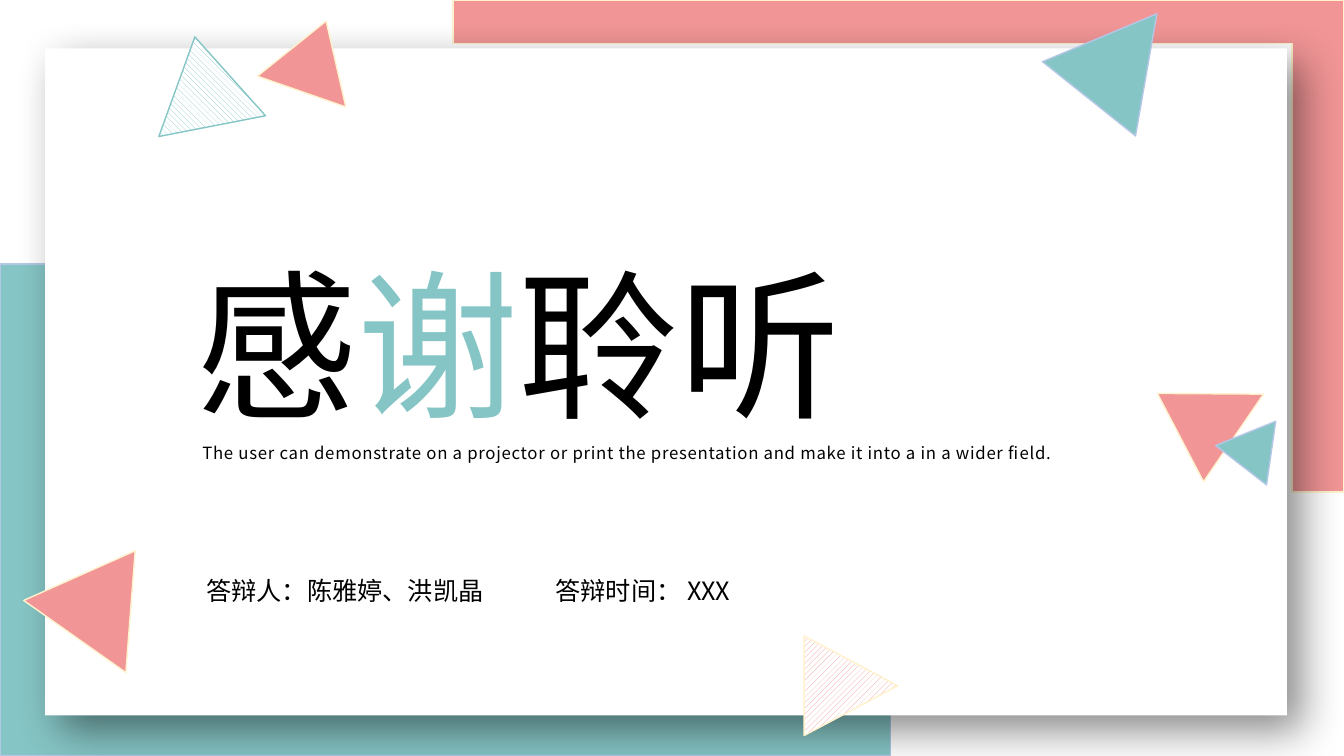
from dataclasses import dataclass

from lxml import etree
from pptx import Presentation
from pptx.dml.color import RGBColor
from pptx.enum.dml import MSO_PATTERN
from pptx.enum.shapes import MSO_SHAPE
from pptx.enum.text import MSO_AUTO_SIZE
from pptx.oxml.ns import qn
from pptx.util import Cm, Pt

CORNER = MSO_SHAPE.CORNER
RECTANGLE = MSO_SHAPE.RECTANGLE
TRIANGLE = MSO_SHAPE.FLOWCHART_EXTRACT
STRIPES_UP = MSO_PATTERN.WIDE_UPWARD_DIAGONAL
STRIPES_DOWN = MSO_PATTERN.WIDE_DOWNWARD_DIAGONAL
GROW = MSO_AUTO_SIZE.SHAPE_TO_FIT_TEXT


@dataclass(frozen=True)
class Theme:
    font: str = "Noto Sans CJK SC"
    teal: str = "86C5C5"
    pink: str = "F19596"
    cream: str = "FFF2CC"
    blue: str = "B4C7E7"
    white: str = "FFFFFF"
    black: str = "000000"
    title: int = 115
    subtitle: int = 12
    detail: int = 18
    outline: int = 1


theme = Theme()

PAGE_WIDTH, PAGE_HEIGHT = 33.87, 19.05
CORNER_WIDTH, CORNER_HEIGHT = 22.45, 12.4
CORNER_THICKNESS = (0.088, 0.106)
CARD = (1.14, 1.22, 31.29, 16.81)
CARD_SHADOW = {"blur": 30, "distance": 15, "angle": 45, "opacity": 45}

TITLE = [("感", theme.black), ("谢", theme.teal), ("聆听", theme.black)]
SUBTITLE = [("The user can demonstrate on a projector or print the presentation "
             "and make it into a in a wider field.", theme.black)]
DETAILS = [("答辩人：陈雅婷、洪凯晶\t答辩时间： XXX", theme.black)]

TRIANGLES = [
    ((1.07, 13.64, 3.15, 2.64), 35.2, theme.pink, theme.cream, None),
    ((29.54, 9.3, 2.51, 2.36), 62.4, theme.pink, theme.cream, None),
    ((6.73, 0.48, 2.36, 1.88), 19.2, theme.pink, theme.cream, None),
    ((20.19, 16.1, 2.51, 2.36), 90, theme.pink, theme.cream, STRIPES_UP),
    ((3.76, 0.91, 2.74, 2.29), 349, theme.teal, theme.teal, STRIPES_DOWN),
    ((30.84, 10.87, 1.63, 1.4), 158, theme.teal, theme.blue, None),
    ((26.8, 0.05, 3, 2.74), 38.6, theme.teal, theme.blue, None),
]


def color(value):
    return RGBColor.from_string(value)


def add_figure(page, kind, area, fill, line=None, rotation=0, pattern=None):
    figure = page.shapes.add_shape(kind, *map(Cm, area))
    figure.shadow.inherit = False
    figure.rotation = rotation
    if pattern:
        figure.fill.patterned()
        figure.fill.pattern = pattern
        figure.fill.fore_color.rgb = color(fill)
        figure.fill.back_color.rgb = color(theme.white)
    else:
        figure.fill.solid()
        figure.fill.fore_color.rgb = color(fill)
    if line:
        figure.line.color.rgb = color(line)
        figure.line.width = Pt(theme.outline)
    else:
        figure.line.fill.background()
    return figure


def add_shadow(figure, blur, distance, angle, opacity):
    effects = figure.element.spPr.find(qn("a:effectLst"))
    shadow = etree.SubElement(
        effects, qn("a:outerShdw"), blurRad=str(Pt(blur)), dist=str(Pt(distance)),
        dir=str(angle * 60000), algn="tl", rotWithShape="0")
    tint = etree.SubElement(shadow, qn("a:srgbClr"), val=theme.black)
    etree.SubElement(tint, qn("a:alpha"), val=str(opacity * 1000))


def add_text(page, pieces, area, size, line_spacing=None, letter_spacing=0, tab=None):
    box = page.shapes.add_textbox(*map(Cm, area))
    box.text_frame.word_wrap = True
    box.text_frame.auto_size = GROW
    para = box.text_frame.paragraphs[0]
    if line_spacing:
        para.line_spacing = line_spacing
    if tab:
        stops = etree.SubElement(para._p.get_or_add_pPr(), qn("a:tabLst"))
        etree.SubElement(stops, qn("a:tab"), pos=str(Cm(tab)), algn="l")
    for text, tint in pieces:
        span = para.add_run()
        span.text = text
        span.font.size = Pt(size)
        span.font.name = theme.font
        span.font.color.rgb = color(tint)
        properties = span.font._element
        etree.SubElement(properties, qn("a:ea"), typeface=theme.font)
        if letter_spacing:
            properties.set("spc", str(round(letter_spacing * 100)))


def main():
    deck = Presentation()
    deck.slide_width, deck.slide_height = Cm(PAGE_WIDTH), Cm(PAGE_HEIGHT)
    page = deck.slides.add_slide(deck.slide_layouts[6])

    corners = [
        (0, PAGE_HEIGHT - CORNER_HEIGHT, theme.teal, theme.blue, 0),
        (PAGE_WIDTH - CORNER_WIDTH, 0, theme.pink, theme.cream, 180),
    ]
    for left, top, fill, line, rotation in corners:
        area = (left, top, CORNER_WIDTH, CORNER_HEIGHT)
        corner = add_figure(page, CORNER, area, fill, line, rotation)
        for index, thickness in enumerate(CORNER_THICKNESS):
            corner.adjustments[index] = thickness

    card = add_figure(page, RECTANGLE, CARD, theme.white)
    add_shadow(card, **CARD_SHADOW)

    add_text(page, TITLE, (4.7, 6.07, 17.4, 5.18), theme.title)
    add_text(page, SUBTITLE, (4.85, 10.77, 24.56, 0.94), theme.subtitle,
             line_spacing=1.5, letter_spacing=0.5)
    add_text(page, DETAILS, (4.95, 14.38, 16.87, 1.02), theme.detail, tab=8.8)

    for area, rotation, fill, line, pattern in TRIANGLES:
        add_figure(page, TRIANGLE, area, fill, line, rotation, pattern)

    deck.save("out.pptx")


if __name__ == "__main__":
    main()
